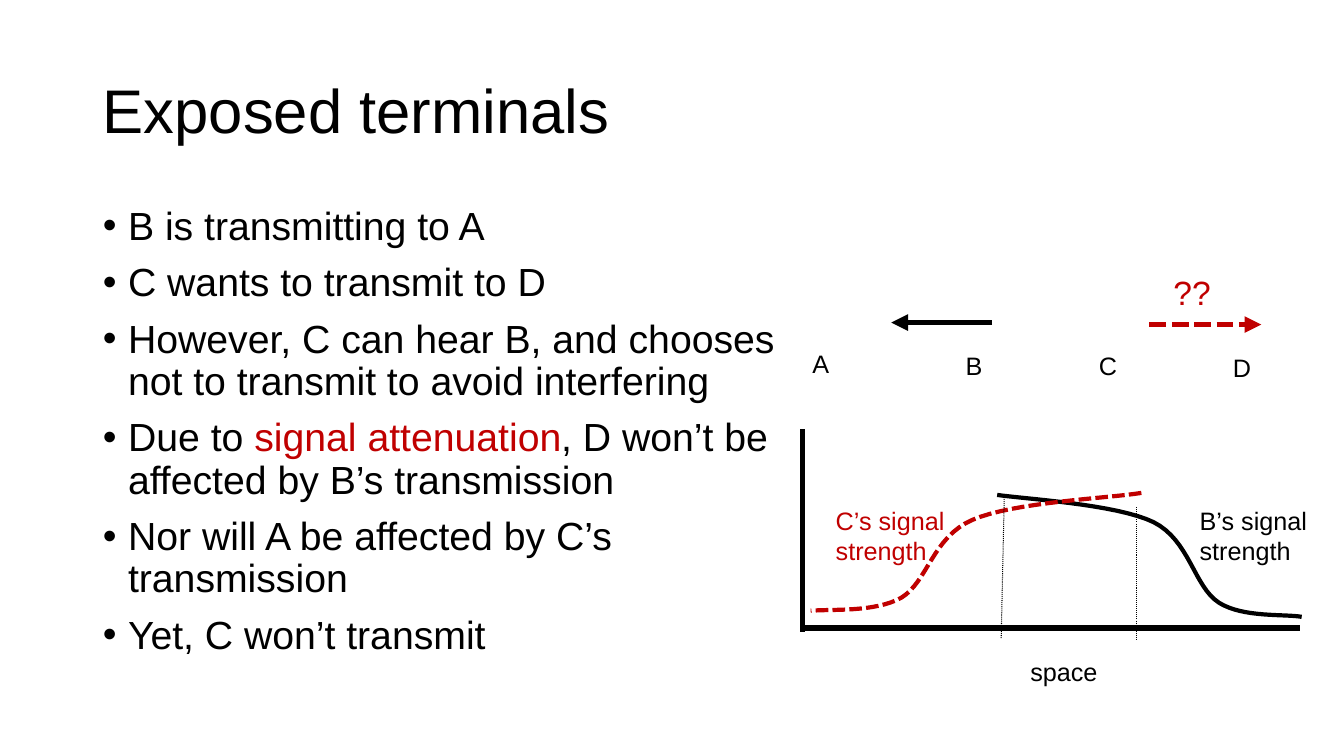
from lxml import etree
from pptx import Presentation
from pptx.dml.color import RGBColor
from pptx.enum.dml import MSO_LINE
from pptx.enum.shapes import MSO_CONNECTOR
from pptx.enum.text import MSO_ANCHOR, MSO_AUTO_SIZE, PP_ALIGN
from pptx.oxml.ns import qn
from pptx.util import Inches, Pt

BLACK = RGBColor(0x00, 0x00, 0x00)
RED = RGBColor(0xC0, 0x00, 0x00)
FONT = "Arial"
DASH = MSO_LINE.SQUARE_DOT
DOT = MSO_LINE.ROUND_DOT
STRAIGHT = MSO_CONNECTOR.STRAIGHT
MIDDLE = MSO_ANCHOR.MIDDLE
TOP = MSO_ANCHOR.TOP
LEFT = PP_ALIGN.LEFT
NO_FIT = MSO_AUTO_SIZE.NONE
GROW = MSO_AUTO_SIZE.SHAPE_TO_FIT_TEXT
STEPS = 16  # segments drawn for each Bezier piece

# Each bullet is a list of (text, colour) runs
BULLETS = [
    [("B is transmitting to A", BLACK)],
    [("C wants to transmit to D", BLACK)],
    [("However, C can hear B, and chooses not to transmit to avoid interfering", BLACK)],
    [("Due to ", BLACK), ("signal attenuation", RED),
     (", D won’t be affected by B’s transmission", BLACK)],
    [("Nor will A be affected by C’s transmission", BLACK)],
    [("Yet, C won’t transmit", BLACK)],
]

# Text, box in inches, size, colour
LABELS = [
    ("A", (7.96, 3.41, 0.38, 0.4), 18, BLACK),
    ("B", (9.48, 3.43, 0.38, 0.4), 18, BLACK),
    ("C", (10.8, 3.43, 0.38, 0.4), 18, BLACK),
    ("D", (12.13, 3.45, 0.38, 0.4), 18, BLACK),
    ("space", (10.12, 6.46, 0.88, 0.4), 18, BLACK),
    ("C’s signal\nstrength", (8.19, 4.96, 1.29, 0.71), 18, RED),
    ("B’s signal\nstrength", (11.8, 4.96, 1.28, 0.71), 18, BLACK),
    ("??", (11.54, 2.65, 0.96, 0.5), 24, RED),
]

# Start point, then two control points and an end point for each piece
B_CURVE = [(9.89, 4.91), (10.15, 4.95), (11.07, 5), (11.44, 5.18),
           (11.8, 5.36), (11.84, 5.82), (12.09, 5.98),
           (12.33, 6.13), (12.74, 6.09), (12.91, 6.12)]
C_CURVE = [(11.32, 4.89), (11.04, 4.94), (10.04, 4.98), (9.64, 5.16),
           (9.25, 5.33), (9.2, 5.77), (8.94, 5.93),
           (8.67, 6.08), (8.23, 6.04), (8.04, 6.06)]


def set_font(para, size, color):
    para.font.name = FONT
    para.font.size = Pt(size)
    para.font.color.rgb = color


def place(shape, box):
    shape.left, shape.top, shape.width, shape.height = map(Inches, box)


def set_line(line, color, width, dash):
    line.color.rgb = color
    line.width = Pt(width)
    if dash is not None:
        line.dash_style = dash


def fill_title(shape):
    place(shape, (0.92, 0.4, 11.5, 1.45))
    frame = shape.text_frame
    frame.text = "Exposed terminals"
    frame.auto_size = NO_FIT
    frame.vertical_anchor = MIDDLE
    para = frame.paragraphs[0]
    para.alignment = LEFT
    para.line_spacing = 0.9
    set_font(para, 44, BLACK)


def fill_body(shape):
    place(shape, (0.92, 2, 6.89, 4.76))
    frame = shape.text_frame
    frame.auto_size = NO_FIT
    frame.vertical_anchor = TOP
    for index, runs in enumerate(BULLETS):
        para = frame.add_paragraph() if index else frame.paragraphs[0]
        props = para._p.get_or_add_pPr()
        props.set("marL", str(Inches(0.25)))
        props.set("indent", str(-Inches(0.25)))
        etree.SubElement(props, qn("a:buFont"), typeface=FONT)
        etree.SubElement(props, qn("a:buChar"), char="•")
        para.line_spacing = 0.9
        para.space_before = Pt(10 if index else 0)
        set_font(para, 28, BLACK)
        for text, color in runs:
            run = para.add_run()
            run.text = text
            if color != BLACK:
                run.font.color.rgb = color


def add_label(slide, text, box, size, color):
    frame = slide.shapes.add_textbox(*map(Inches, box)).text_frame
    frame.text = text
    frame.word_wrap = False
    frame.auto_size = GROW
    for para in frame.paragraphs:
        set_font(para, size, color)


def add_line(slide, start, end, width, color=BLACK, dash=None, arrow=False):
    link = slide.shapes.add_connector(STRAIGHT, *map(Inches, start + end))
    set_line(link.line, color, width, dash)
    props = link._element.spPr
    if arrow:
        etree.SubElement(props.find(qn("a:ln")), qn("a:tailEnd"), type="triangle")
    etree.SubElement(props, qn("a:effectLst"))


def bezier(knots, t):
    u = 1 - t
    weights = (u ** 3, 3 * u * u * t, 3 * u * t * t, t ** 3)
    return tuple(Inches(sum(w * k[axis] for w, k in zip(weights, knots)))
                 for axis in (0, 1))


def add_curve(slide, knots, color, dash=None):
    points = [bezier(knots[i:i + 4], step / STEPS)
              for i in range(0, len(knots) - 1, 3)
              for step in range(1, STEPS + 1)]
    pen = slide.shapes.build_freeform(*map(Inches, knots[0]))
    pen.add_line_segments(points, close=False)
    curve = pen.convert_to_shape()
    curve.shadow.inherit = False
    curve.fill.background()
    set_line(curve.line, color, 3, dash)


def main():
    deck = Presentation()
    deck.slide_width, deck.slide_height = Inches(13.33), Inches(7.5)
    slide = deck.slides.add_slide(deck.slide_layouts[1])

    # Title and bullets
    fill_title(slide.shapes.title)
    fill_body(slide.placeholders[1])

    # Signal curves
    add_curve(slide, B_CURVE, BLACK)
    add_curve(slide, C_CURVE, RED, DASH)

    # Axes
    add_line(slide, (7.95, 6.23), (12.89, 6.23), 4)
    add_line(slide, (7.96, 4.26), (7.96, 6.27), 4)

    # Guides at B and C
    add_line(slide, (9.96, 4.95), (9.93, 6.33), 0.75, dash=DOT)
    add_line(slide, (11.27, 5.03), (11.27, 6.35), 0.75, dash=DOT)

    # Transmissions
    add_line(slide, (9.84, 3.2), (8.84, 3.2), 4, arrow=True)
    add_line(slide, (11.4, 3.22), (12.51, 3.22), 4, RED, DASH, arrow=True)

    # Labels
    for label in LABELS:
        add_label(slide, *label)

    deck.save("out.pptx")


if __name__ == "__main__":
    main()
